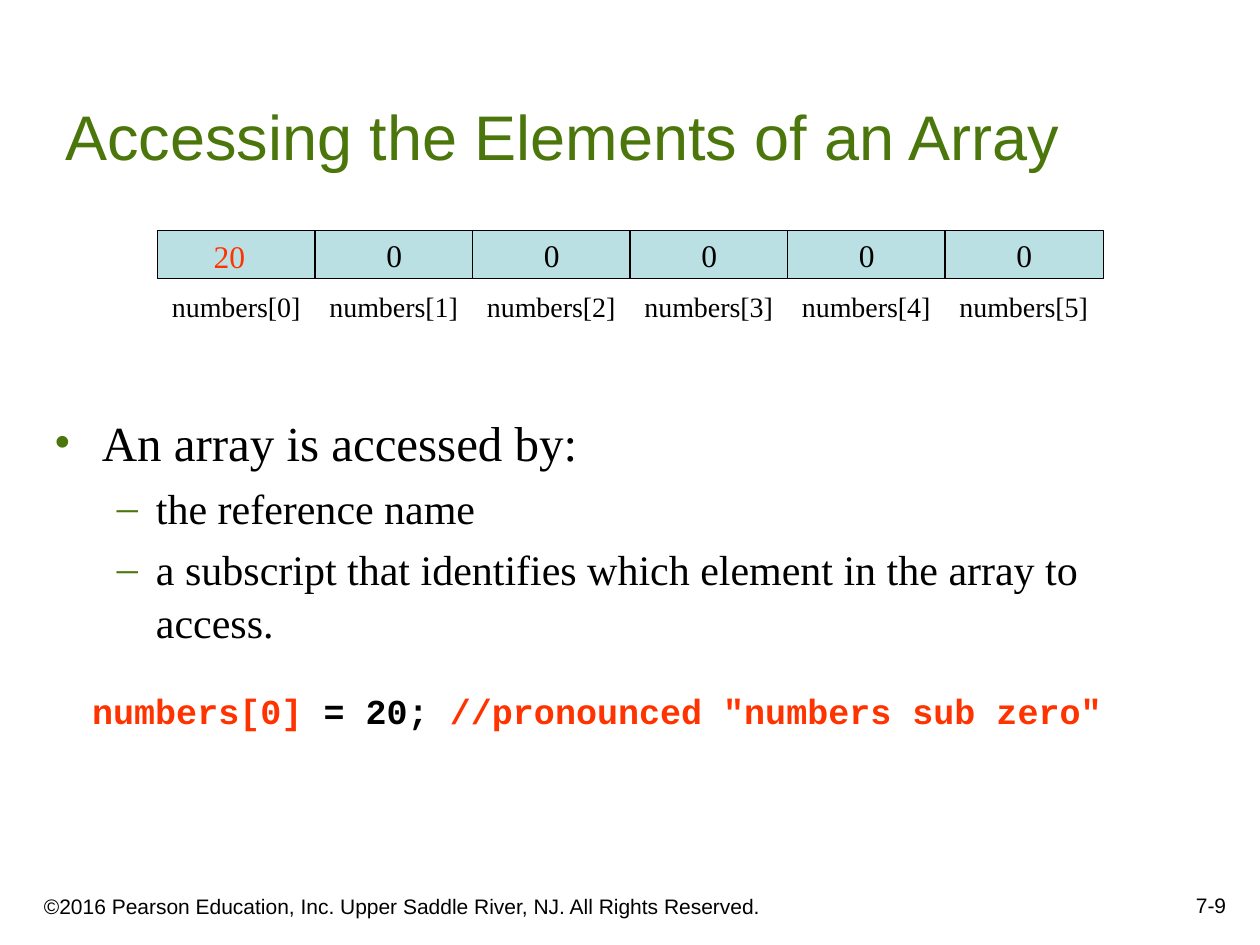
from pptx import Presentation
from pptx.dml.color import RGBColor
from pptx.enum.shapes import MSO_SHAPE as Shape
from pptx.enum.text import MSO_ANCHOR as Anchor, PP_ALIGN as Align
from pptx.util import Inches, Pt
from lxml.etree import SubElement
from pptx.oxml.ns import qn

COLORS = {"green": "4B760B", "black": "000000", "red": "FF3300", "cell": "BBE0E3"}
SANS, SERIF, MONO = "Arial", "Times New Roman", "Courier New"

TITLE = "Accessing the Elements of an Array"
COPYRIGHT = "©2016 Pearson Education, Inc. Upper Saddle River, NJ. All Rights Reserved."
PAGE = "7-9"
VALUES = ["", "0", "0", "0", "0", "0"]
ASSIGNED = "20"
BULLETS = [
    (0, "An array is accessed by:"),
    (1, "the reference name"),
    (1, "a subscript that identifies which element in the array to access."),
]
LEVELS = [
    {"size": 28, "margin": 0.38, "indent": -0.38, "mark": "•"},
    {"size": 24, "margin": 0.81, "indent": -0.31, "mark": "–"},
]
CODE = [
    ("numbers[0]", "red"),
    (" = 20; ", "black"),
    ('//pronounced "numbers sub zero"', "red"),
]

WIDTH, HEIGHT = 10, 7.5
COLUMN = WIDTH / 8
ROW_TOP, ROW_HEIGHT = 1.83, 0.38
LABEL_TOP = 2.25


def color(name):
    return RGBColor.from_string(COLORS[name])


def add_run(paragraph, text, size, font, ink, bold=False):
    run = paragraph.add_run()
    run.text = text
    run.font.size = Pt(size)
    run.font.name = font
    run.font.bold = bold
    run.font.color.rgb = color(ink)


def add_text(slide, box, text, size=18, font=SERIF, ink="black", bold=False,
             align=Align.LEFT, anchor=Anchor.TOP, wrap=True, fill=None):
    place = [Inches(length) for length in box]
    if fill:
        shape = slide.shapes.add_shape(Shape.RECTANGLE, *place)
        shape.shadow.inherit = False
        shape.fill.solid()
        shape.fill.fore_color.rgb = color(fill)
        shape.line.color.rgb = color("black")
        shape.line.width = Pt(0.75)
    else:
        shape = slide.shapes.add_textbox(*place)
    frame = shape.text_frame
    frame.word_wrap = wrap
    frame.vertical_anchor = anchor
    paragraph = frame.paragraphs[0]
    paragraph.alignment = align
    runs = [(text, ink)] if isinstance(text, str) else text
    for words, run_ink in runs:
        if words:
            add_run(paragraph, words, size, font, run_ink, bold)
    return shape


def add_bullets(slide, box):
    frame = add_text(slide, box, "").text_frame
    frame.margin_right = 0
    for index, (level, text) in enumerate(BULLETS):
        style = LEVELS[level]
        paragraph = frame.add_paragraph() if index else frame.paragraphs[0]
        paragraph.level = level
        paragraph.line_spacing = 1.05
        if index:
            paragraph.space_before = Pt(0.2 * style["size"])
        properties = paragraph._p.get_or_add_pPr()
        properties.set("marL", str(Inches(style["margin"])))
        properties.set("indent", str(Inches(style["indent"])))
        bullet_color = SubElement(properties, qn("a:buClr"))
        SubElement(bullet_color, qn("a:srgbClr")).set("val", COLORS["green"])
        SubElement(properties, qn("a:buFont")).set("typeface", SERIF)
        SubElement(properties, qn("a:buChar")).set("char", style["mark"])
        add_run(paragraph, text, style["size"], SERIF, "black")


def add_array(slide):
    for index, value in enumerate(VALUES):
        left = COLUMN * (index + 1)
        add_text(slide, (left, ROW_TOP, COLUMN + 0.01, ROW_HEIGHT), value,
                 align=Align.CENTER, anchor=Anchor.MIDDLE, wrap=False, fill="cell")
        add_text(slide, (left, LABEL_TOP, COLUMN, 0.37), f"numbers[{index}]",
                 size=16, align=Align.CENTER)
    add_text(slide, (1.58, ROW_TOP, 0.48, 0.4), ASSIGNED, ink="red", align=Align.CENTER)


def main():
    presentation = Presentation()
    presentation.slide_width, presentation.slide_height = Inches(WIDTH), Inches(HEIGHT)
    slide = presentation.slides.add_slide(presentation.slide_layouts[6])
    add_text(slide, (0.25, 6.92, 6.08, 0.42), COPYRIGHT, size=12, font=SANS,
             anchor=Anchor.BOTTOM)
    add_text(slide, (7.75, 6.83, 2.08, 0.5), PAGE, size=12, font=SANS,
             align=Align.RIGHT, anchor=Anchor.BOTTOM)
    add_text(slide, (0.42, 0.17, 8.5, 1.25), TITLE, size=36, font=SANS, ink="green",
             anchor=Anchor.BOTTOM)
    add_bullets(slide, (0.33, 3.2, 9.07, 3.55))
    add_text(slide, (0.6, 5.42, 8.28, 0.44), CODE, size=20, font=MONO, bold=True,
             align=Align.CENTER, wrap=False)
    add_array(slide)
    presentation.save("out.pptx")


if __name__ == "__main__":
    main()
